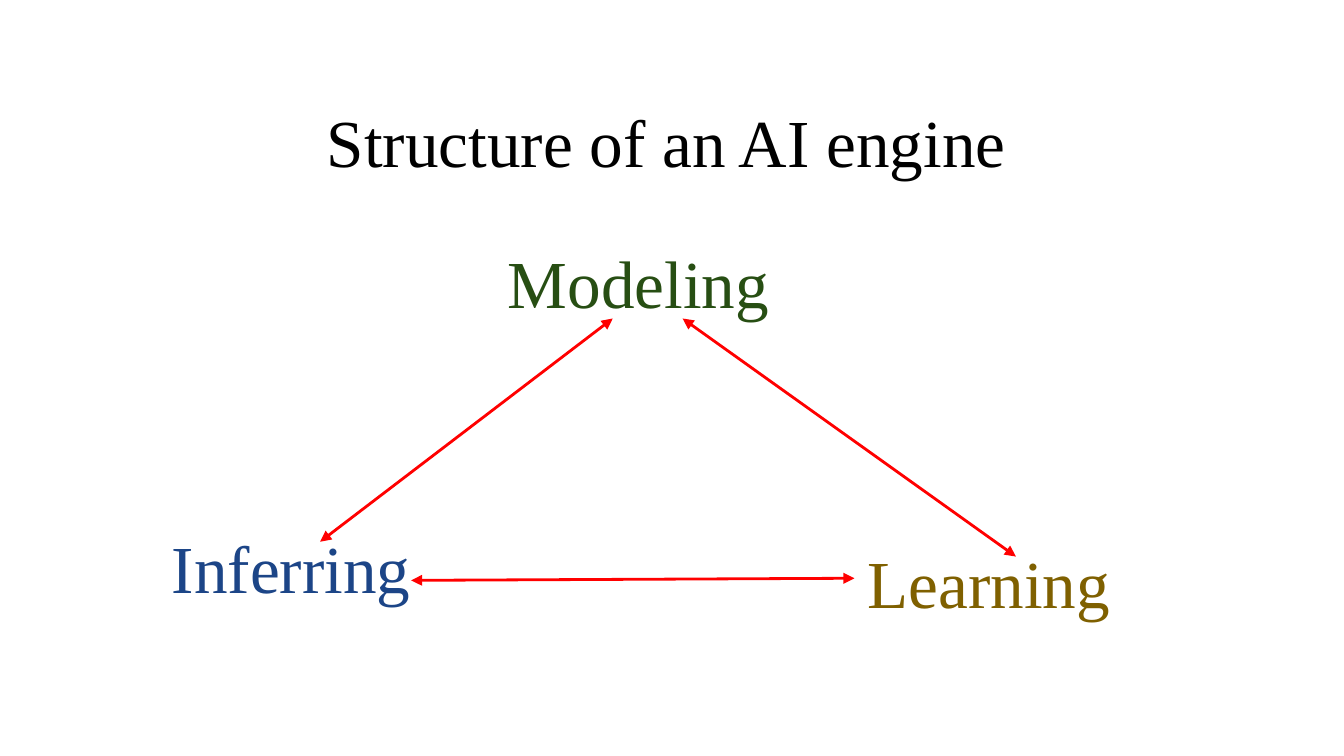
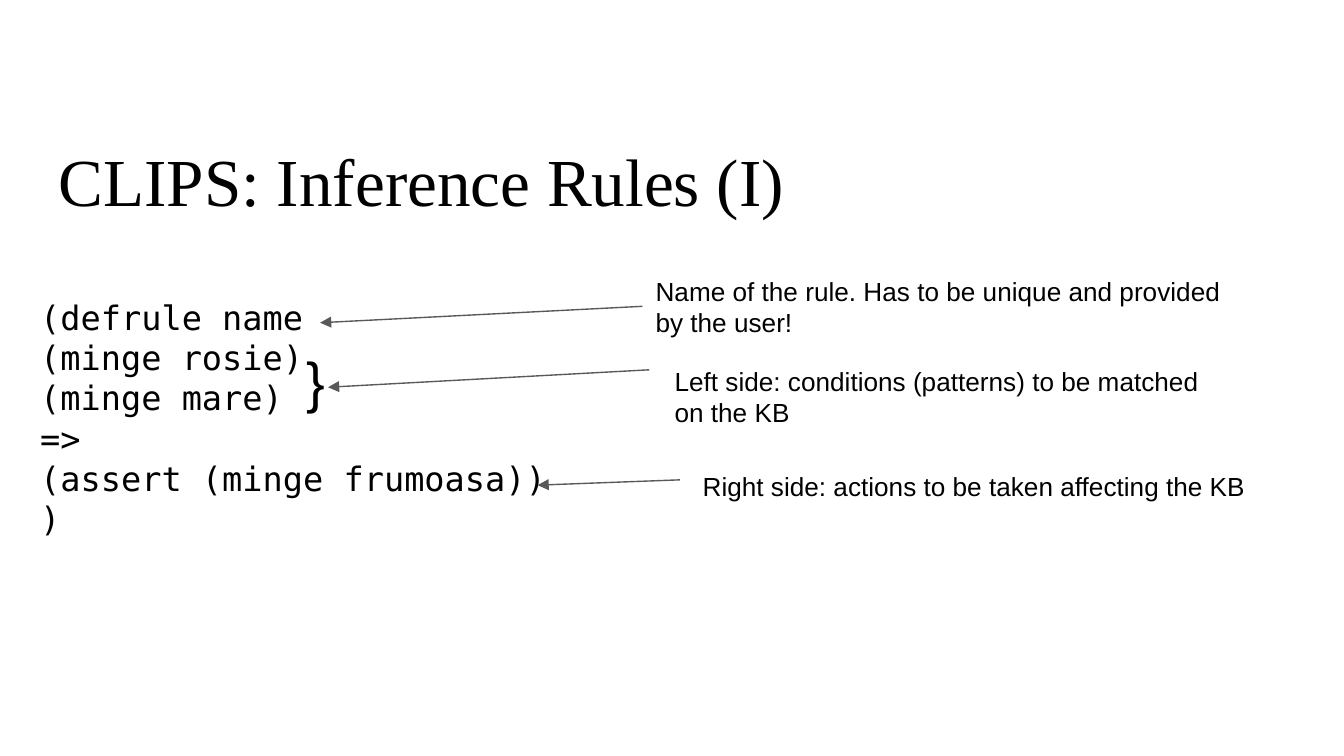
from lxml.etree import SubElement
from pptx import Presentation
from pptx.dml.color import RGBColor
from pptx.enum.shapes import MSO_CONNECTOR
from pptx.enum.text import MSO_ANCHOR, PP_ALIGN
from pptx.oxml.ns import qn
from pptx.util import Cm, Pt

BLACK = RGBColor(0x00, 0x00, 0x00)
GREEN = RGBColor(0x27, 0x4E, 0x13)
BLUE = RGBColor(0x1C, 0x45, 0x87)
OCHRE = RGBColor(0x7F, 0x60, 0x00)
RED = RGBColor(0xFF, 0x00, 0x00)
GRAY = RGBColor(0x59, 0x59, 0x59)

SERIF, SANS, MONO = "Times New Roman", "Arial", "DejaVu Sans Mono"
INSET = Cm(0.25)
LEFT_SIDE = 1


def add_text(page, text, place, size=36, font=SERIF, color=BLACK,
             align=PP_ALIGN.LEFT, anchor=MSO_ANCHOR.TOP):
    """Add a text box at place (left, top, width, height in cm), a paragraph per line."""
    box = page.shapes.add_textbox(*[Cm(length) for length in place])
    frame = box.text_frame
    frame.word_wrap = True
    frame.vertical_anchor = anchor
    frame.margin_left = frame.margin_right = INSET
    frame.margin_top = frame.margin_bottom = INSET
    for number, line in enumerate(text.split("\n")):
        para = frame.add_paragraph() if number else frame.paragraphs[0]
        para.alignment = align
        span = para.add_run()
        span.text = line
        span.font.name = font
        span.font.size = Pt(size)
        span.font.color.rgb = color
    return box


def add_arrow(page, start, end, color=GRAY, width=0.75, ends=("a:tailEnd",)):
    arrow = page.shapes.add_connector(
        MSO_CONNECTOR.STRAIGHT, *[Cm(length) for length in start + end])
    arrow.line.color.rgb = color
    arrow.line.width = Pt(width)
    properties = arrow.element.spPr
    for arrowhead in ends:
        SubElement(properties.find(qn("a:ln")), qn(arrowhead), type="triangle")
    SubElement(properties, qn("a:effectLst"))
    return arrow


deck = Presentation()
deck.slide_width, deck.slide_height = Cm(25.4), Cm(14.29)
blank = deck.slide_layouts[6]

# Slide 1: the three parts of an engine, linked in a triangle
page = deck.slides.add_slide(blank)
add_text(page, "Structure of an AI engine", (0.76, 2.13, 23.67, 1.55),
         align=PP_ALIGN.CENTER, anchor=MSO_ANCHOR.BOTTOM)
add_text(page, "Modeling", (9.35, 4.32, 5.64, 1.32), color=GREEN)
add_text(page, "Inferring", (3, 9.7, 5.08, 2.01), color=BLUE)
learning = add_text(page, "Learning", (16.15, 9.98, 5.26, 1.9), color=OCHRE)

triangle_sides = [
    ((6.05, 10.24), (11.58, 6.02), None),
    ((7.77, 10.97), (16.15, 10.94), learning),
    ((12.9, 6.02), (19.2, 10.52), None),
]
for start, end, target in triangle_sides:
    arrow = add_arrow(page, start, end, color=RED, width=1.5,
                      ends=("a:headEnd", "a:tailEnd"))
    if target:
        arrow.end_connect(target, LEFT_SIDE)

# Slide 2: a rule with a note on each of its parts
page = deck.slides.add_slide(blank)
add_text(page, "CLIPS: Inference Rules (I)", (0.86, 2.01, 23.67, 2.39),
         anchor=MSO_ANCHOR.BOTTOM)
RULE = """(defrule name
(minge rosie)
(minge mare)
=>
(assert (minge frumoasa))
)"""
add_text(page, RULE, (0.51, 5.36, 24.03, 8.61), size=18, font=MONO)
add_text(page, "}", (5.54, 6.3, 0.97, 2.21), size=30, font=SANS)

notes = [
    ("Name of the rule. Has to be unique and provided by the user!",
     (12.14, 4.95, 11.79, 1.68), (12.14, 5.77), (6.05, 6.1), True),
    ("Left side: conditions (patterns) to be matched on the KB",
     (12.5, 6.65, 10.9, 0.99), (12.27, 6.99), (6.2, 7.32), False),
    ("Right side: actions to be taken affecting the KB",
     (13.03, 8.64, 10.9, 0.99), (12.85, 9.07), (10.16, 9.17), False),
]
for text, place, start, end, joined in notes:
    note = add_text(page, text, place, size=14, font=SANS)
    arrow = add_arrow(page, start, end)
    if joined:
        arrow.begin_connect(note, LEFT_SIDE)

deck.save("out.pptx")
